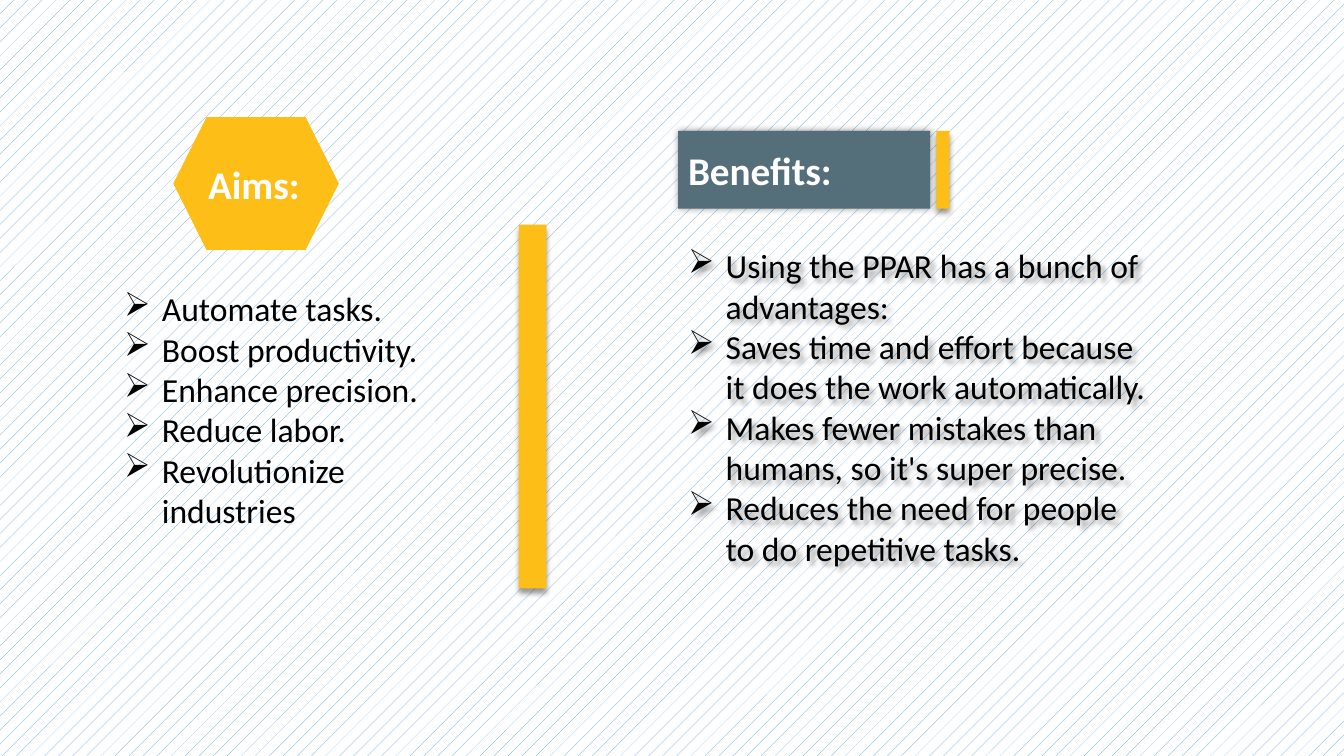
import pptx
import pptx.util
import pptx.dml.color
import pptx.enum.dml
import pptx.enum.shapes
import pptx.enum.text
from dataclasses import dataclass
from lxml import etree

Cm, Pt = pptx.util.Cm, pptx.util.Pt
RGB = pptx.dml.color.RGBColor.from_string
SHAPE = pptx.enum.shapes.MSO_SHAPE

AIMS_TITLE = "Aims:"
AIMS = [
    "Automate tasks.",
    "Boost productivity.",
    "Enhance precision.",
    "Reduce labor.",
    "Revolutionize industries",
]
BENEFITS_TITLE = "Benefits:"
BENEFITS = [
    "Using the PPAR has a bunch of advantages:",
    "Saves time and effort because it does the work automatically.",
    "Makes fewer mistakes than humans, so it's super precise.",
    "Reduces the need for people to do repetitive tasks.",
]


@dataclass(frozen=True)
class Theme:
    font: str = "Calibri"
    title_size: int = 28
    body_size: int = 24
    gold: str = "FDBE17"
    slate: str = "546E7A"
    text: str = "000000"
    white: str = "FFFFFF"
    pattern: str = "5B9BD5"


THEME = Theme()

# Shadows: blur (pt), distance (pt), direction (degrees)
DROP = (4, 3, 90)
GLOW = (5, 0, 0)
TEXT_DROP = (4, 4, 45)

# Layout in cm
BODY_TOP, BODY_H = 5.66, 9.17
RIGHT_X = 17.09
BANNER_TOP, BANNER_W, BANNER_H = 3.3, 6.35, 1.96
ACCENT_GAP, ACCENT_W = 0.16, 0.33
INDENT = 0.95


def add_shadow(s, blur, dist, angle):
    s.shadow.inherit = False
    effects = s._element.spPr.find(pptx.oxml.ns.qn("a:effectLst"))
    shadow = etree.SubElement(
        effects, pptx.oxml.ns.qn("a:outerShdw"), blurRad=str(Pt(blur)),
        dist=str(Pt(dist)), dir=str(angle * 60000), algn="t", rotWithShape="0")
    color = etree.SubElement(shadow, pptx.oxml.ns.qn("a:srgbClr"), val=THEME.text)
    etree.SubElement(color, pptx.oxml.ns.qn("a:alpha"), val="40000")


def add_block(shapes, kind, box, fill=None, shadow=None):
    s = shapes.add_shape(kind, *map(Cm, box))
    if fill:
        s.fill.solid()
        s.fill.fore_color.rgb = RGB(fill)
    else:
        s.fill.background()
    s.line.fill.background()
    s.shadow.inherit = False
    if shadow:
        add_shadow(s, *shadow)
    return s


def write(s, lines, size, color, bold=False, bullet=None):
    tf = s.text_frame
    tf.word_wrap = True
    tf.vertical_anchor = pptx.enum.text.MSO_ANCHOR.MIDDLE
    for i, line in enumerate(lines):
        p = tf.paragraphs[0] if i == 0 else tf.add_paragraph()
        p.text = line
        p.alignment = pptx.enum.text.PP_ALIGN.LEFT
        p.font.name = THEME.font
        p.font.size = Pt(size)
        p.font.bold = bold
        p.font.color.rgb = RGB(color)
        if bullet:
            pPr = p._p.get_or_add_pPr()
            pPr.set("marL", str(Cm(INDENT)))
            pPr.set("indent", str(-Cm(INDENT)))
            mark = etree.Element(pptx.oxml.ns.qn("a:buChar"), char=bullet)
            pPr.insert_element_before(mark, "a:tabLst", "a:defRPr", "a:extLst")


def write_title(s, title):
    write(s, [title], THEME.title_size, THEME.white, bold=True)


def write_list(s, lines):
    write(s, lines, THEME.body_size, THEME.text, bullet="➢")


def main():
    prs = pptx.Presentation()
    prs.slide_width, prs.slide_height = Cm(33.87), Cm(19.05)
    slide = prs.slides.add_slide(prs.slide_layouts[6])
    shapes = slide.shapes

    fill = slide.background.fill
    fill.patterned()
    fill.pattern = pptx.enum.dml.MSO_PATTERN.PERCENT_5
    fill.fore_color.rgb = RGB(THEME.pattern)
    fill.back_color.rgb = RGB(THEME.white)

    aims = add_block(shapes, SHAPE.HEXAGON, (1.12, 5.59, 11.96, BODY_H))
    write_list(aims, AIMS)
    aims.text_frame.margin_top = Cm(0.4)
    aims_title = add_block(shapes, SHAPE.HEXAGON, (4.37, 2.95, 4.17, 3.35), THEME.gold)
    write_title(aims_title, AIMS_TITLE)

    benefits = shapes.add_textbox(*map(Cm, (RIGHT_X, BODY_TOP, 12.07, BODY_H)))
    write_list(benefits, BENEFITS)
    add_shadow(benefits, *TEXT_DROP)

    add_block(shapes, SHAPE.RECTANGLE, (13.08, BODY_TOP, 0.69, BODY_H), THEME.gold, DROP)

    banner = shapes.add_group_shape().shapes
    benefits_title = add_block(banner, SHAPE.RECTANGLE,
                               (RIGHT_X, BANNER_TOP, BANNER_W, BANNER_H), THEME.slate, GLOW)
    write_title(benefits_title, BENEFITS_TITLE)
    accent_x = RIGHT_X + BANNER_W + ACCENT_GAP
    add_block(banner, SHAPE.RECTANGLE,
              (accent_x, BANNER_TOP, ACCENT_W, BANNER_H), THEME.gold, DROP)

    prs.save("out.pptx")


if __name__ == "__main__":
    main()
